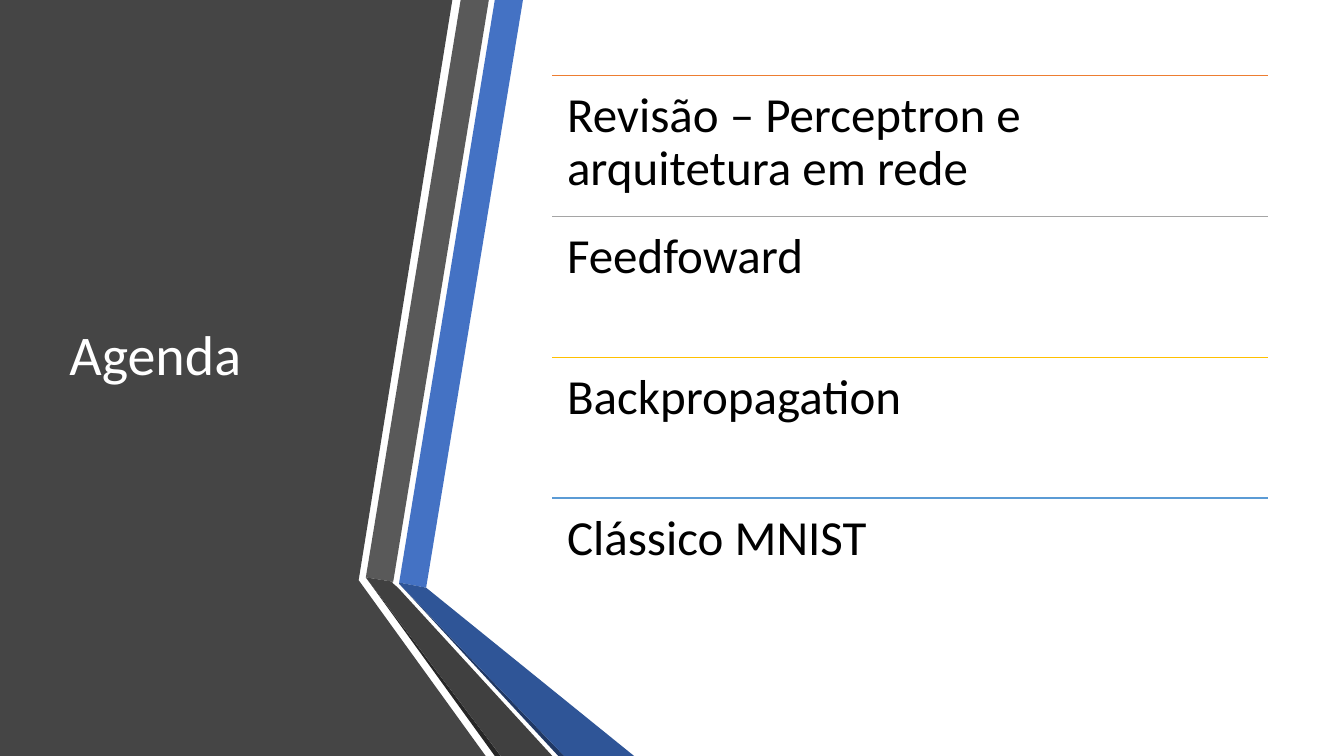
from dataclasses import dataclass

from lxml.etree import SubElement
from pptx import Presentation
from pptx.dml.color import RGBColor
from pptx.enum.shapes import MSO_CONNECTOR
from pptx.enum.text import MSO_ANCHOR, MSO_AUTO_SIZE, PP_ALIGN
from pptx.oxml.ns import qn
from pptx.util import Cm, Pt


@dataclass(frozen=True)
class Theme:
    """Hold the colours, font and type sizes."""
    font: str = "Calibri"
    title: int = 40
    item: int = 35
    white: str = "FFFFFF"
    black: str = "000000"
    panel: str = "454545"
    gray: str = "595959"
    dark: str = "404040"
    edge: str = "262626"
    blue: str = "4472C4"
    deep: str = "2F5597"
    navy: str = "203864"
    rules: tuple = ("ED7D31", "A5A5A5", "FFC000", "5B9BD5")


@dataclass(frozen=True)
class Box:
    """Hold a region in centimetres."""
    left: float
    top: float
    width: float
    height: float

    def size(self):
        """Return the region as lengths."""
        return Cm(self.left), Cm(self.top), Cm(self.width), Cm(self.height)


THEME = Theme()
PAGE = Box(0, 0, 33.87, 19.05)
ITEMS = ("Revisão – Perceptron e arquitetura em rede", "Feedfoward",
         "Backpropagation", "Clássico MNIST")


def write(frame, text, size, color, anchor=MSO_ANCHOR.TOP,
          inset=(0.25, 0.13, 0.25, 0.13), after=0):
    """Write one formatted paragraph into a text frame."""
    frame.word_wrap = True
    frame.auto_size = MSO_AUTO_SIZE.NONE
    frame.vertical_anchor = anchor
    frame.margin_left, frame.margin_top, frame.margin_right, frame.margin_bottom = map(Cm, inset)
    para = frame.paragraphs[0]
    para.alignment = PP_ALIGN.LEFT
    para.line_spacing = 0.9
    para.space_before = Pt(0)
    para.space_after = Pt(after)
    run = para.add_run()
    run.text = text
    run.font.name = THEME.font
    run.font.size = Pt(size)
    run.font.color.rgb = RGBColor.from_string(color)


def draw(shapes, box, color, points):
    """Draw a filled outline whose points are relative to the box."""
    spots = [(Cm(box.left + x), Cm(box.top + y)) for x, y in points]
    form = shapes.build_freeform(*spots[0], scale=1.0)
    form.add_line_segments(spots[1:], close=True)
    shape = form.convert_to_shape()
    shape.shadow.inherit = False
    shape.fill.solid()
    shape.fill.fore_color.rgb = RGBColor.from_string(color)
    shape.line.fill.background()


def add_bands(slide, box):
    """Place the dark panel and the folded bands beside it."""
    end = box.height
    draw(slide.shapes, box, THEME.panel,
         [(0, 0), (11.4, 0), (9.04, 14.62), (12.24, end), (0, end)])
    bands = (
        (THEME.blue, [(10.06, 14.68), (10.74, 14.81), (13.18, 0), (12.47, 0)]),
        (THEME.gray, [(12.32, 0), (11.61, 0), (9.22, 14.55), (9.91, 14.66)]),
        (THEME.edge, [(9.22, 14.55), (12.47, end), (12.62, end)]),
        (THEME.navy, [(10.06, 14.71), (14.07, end), (14.22, end)]),
        (THEME.deep, [(10.06, 14.71), (14.22, end), (15.98, end),
                      (10.74, 14.81), (10.06, 14.68)]),
        (THEME.dark, [(13.92, end), (10.03, 14.81), (9.88, 14.68),
                      (9.91, 14.66), (9.22, 14.55), (12.62, end)]),
    )
    group = slide.shapes.add_group_shape()
    for color, points in bands:
        draw(group.shapes, box, color, points)


def add_title(slide, box, text):
    """Place the title in its placeholder, in front of the panel."""
    title = slide.shapes.title
    title.element.getparent().append(title.element)
    title.left, title.top, title.width, title.height = box.size()
    write(title.text_frame, text, THEME.title, THEME.white, anchor=MSO_ANCHOR.MIDDLE)


def add_items(slide, box, items):
    """Place the agenda items in equal rows, each under a coloured rule."""
    group = slide.shapes.add_group_shape()
    step = box.height / len(items)
    for row, (text, color) in enumerate(zip(items, THEME.rules)):
        cell = Box(box.left, box.top + row * step, box.width, step)
        left, top, width, height = cell.size()
        rule = group.shapes.add_connector(MSO_CONNECTOR.STRAIGHT, left, top, left + width, top)
        rule.line.color.rgb = RGBColor.from_string(color)
        rule.line.width = Pt(1)
        SubElement(rule._element.spPr, qn("a:effectLst"))
        label = group.shapes.add_textbox(left, top, width, height)
        write(label.text_frame, text, THEME.item, THEME.black,
              inset=(0.37, 0.37, 0.5, 0.37), after=12)


def main():
    """Build and save the agenda slide."""
    deck = Presentation()
    deck.slide_width, deck.slide_height = Cm(PAGE.width), Cm(PAGE.height)
    slide = deck.slides.add_slide(deck.slide_layouts.get_by_name("Title Only"))
    add_bands(slide, PAGE)
    add_title(slide, Box(1.5, 1.91, 7.72, 14.17), "Agenda")
    add_items(slide, Box(13.92, 1.91, 18.03, 14.19), ITEMS)
    deck.save("out.pptx")


if __name__ == "__main__":
    main()
